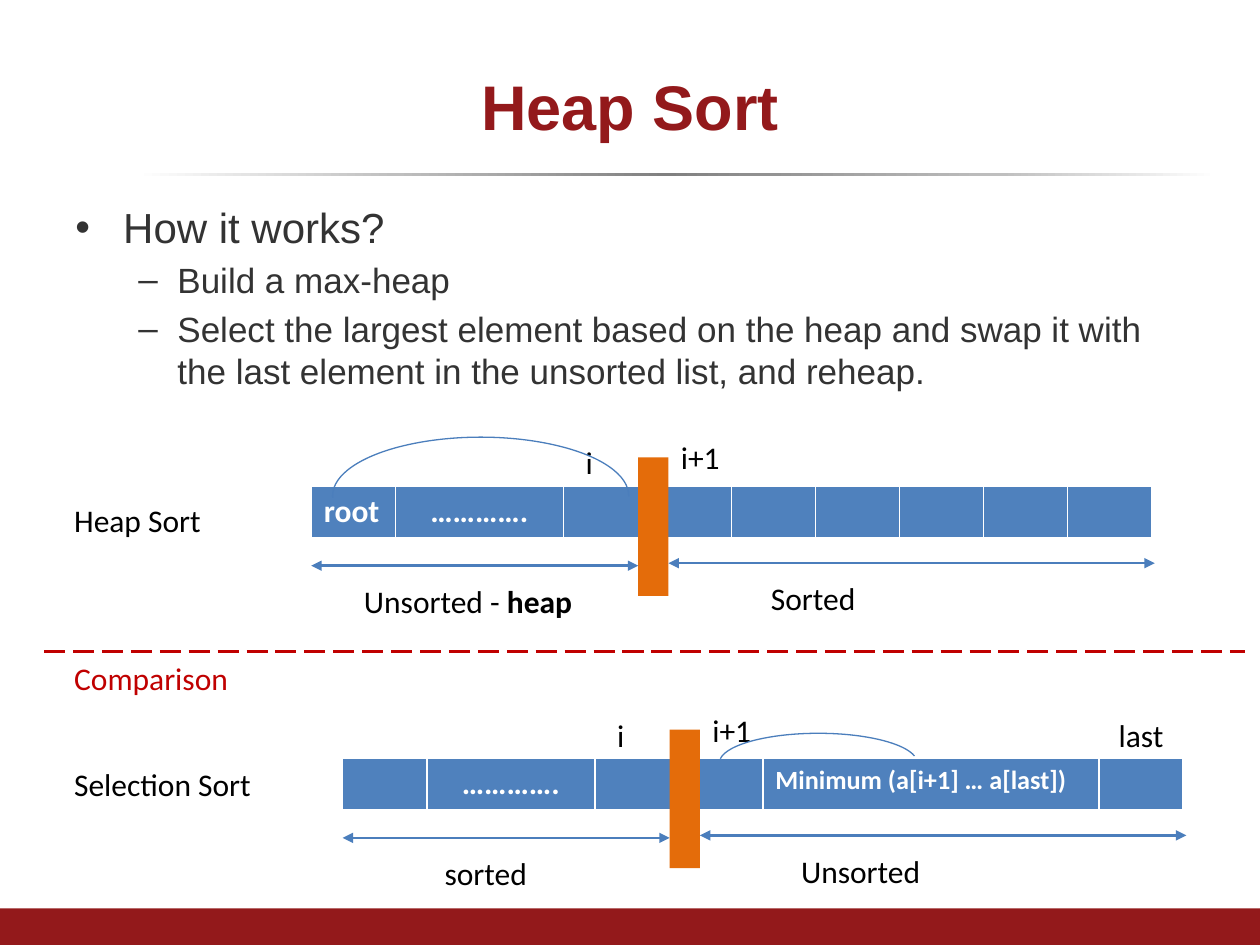
from lxml import etree
from pptx import Presentation
from pptx.dml.color import RGBColor
from pptx.enum.dml import MSO_LINE
from pptx.enum.shapes import MSO_CONNECTOR, MSO_SHAPE
from pptx.enum.text import MSO_ANCHOR, PP_ALIGN
from pptx.oxml.ns import qn
from pptx.util import Pt

PX = 9144  # 100 px to the inch
RECTANGLE, ARC = MSO_SHAPE.RECTANGLE, MSO_SHAPE.ARC
STRAIGHT, LONG_DASH = MSO_CONNECTOR.STRAIGHT, MSO_LINE.LONG_DASH
CENTER, LEFT, MIDDLE = PP_ALIGN.CENTER, PP_ALIGN.LEFT, MSO_ANCHOR.MIDDLE

CRIMSON, RED, ORANGE = "93191B", "C00000", "E46C0A"
BLUE, LINE_BLUE = "4F81BD", "4B7EBC"
BLACK, WHITE, DARK = "000000", "FFFFFF", "333333"
CELL = 66.7
SEPARATOR_WIDTH, SEPARATOR_HEIGHT = 24, 110
LABEL_HEIGHT = 40


def px(*lengths):
    return [round(length * PX) for length in lengths]


def color(hex_string):
    return RGBColor.from_string(hex_string)


def add_run(paragraph, text, hex_string=BLACK, **formats):
    run = paragraph.add_run()
    run.text = text
    for name, value in {"name": "Calibri", "size": Pt(18), **formats}.items():
        setattr(run.font, name, value)
    run.font.color.rgb = color(hex_string)


def add_label(slide, box, text, hex_string=BLACK, bold_text="", wrap=True):
    frame = slide.shapes.add_textbox(*px(*box)).text_frame
    frame.word_wrap = wrap
    add_run(frame.paragraphs[0], text, hex_string)
    if bold_text:
        add_run(frame.paragraphs[0], bold_text, hex_string, bold=True)


def add_block(slide, box, hex_string):
    block = slide.shapes.add_shape(RECTANGLE, *px(*box))
    block.shadow.inherit = False
    block.fill.solid()
    block.fill.fore_color.rgb = color(hex_string)
    block.line.fill.background()
    return block


def add_arc(slide, box, start, end):
    arc = slide.shapes.add_shape(ARC, *px(*box))
    arc.shadow.inherit = False
    arc.adjustments[0], arc.adjustments[1] = start, end
    arc.fill.background()
    arc.line.color.rgb = color(LINE_BLUE)
    arc.line.width = Pt(0.75)


def add_line(slide, left, right, y, hex_string):
    connector = slide.shapes.add_connector(STRAIGHT, *px(left, y, right, y))
    connector.line.color.rgb = color(hex_string)
    connector.line.width = Pt(1.5)
    etree.SubElement(connector._element.spPr, qn("a:effectLst"))
    return connector


def add_double_arrow(slide, left, right, y):
    line = add_line(slide, left, right, y, LINE_BLUE).get_or_add_ln()
    for end in ("a:headEnd", "a:tailEnd"):
        etree.SubElement(line, qn(end), type="triangle")


def add_title_rule(slide, box):
    rule = add_block(slide, box, WHITE)
    rule.fill.gradient()
    rule.fill.gradient_angle = 0
    stops = rule._element.spPr.find(qn("a:gradFill")).find(qn("a:gsLst"))
    for stop in list(stops):
        stops.remove(stop)
    for percent, hex_string in ((0, WHITE), (24, "BFBFBF"), (49, "808080"),
                                (80, "BFBFBF"), (100, WHITE)):
        stop = etree.SubElement(stops, qn("a:gs"), pos=str(percent * 1000))
        etree.SubElement(stop, qn("a:srgbClr"), val=hex_string)


def add_title(slide, box, text):
    title = slide.shapes.title
    title.left, title.top, title.width, title.height = px(*box)
    title.text_frame.vertical_anchor = MIDDLE
    paragraph = title.text_frame.paragraphs[0]
    paragraph.alignment = CENTER
    add_run(paragraph, text, CRIMSON, name="Arial", size=Pt(36), bold=True)


def add_bullets(slide, box, items):
    # Level: bullet, text size, left margin, hanging indent
    levels = (("•", 24, 38, 38), ("–", 20, 81, 31))
    frame = slide.shapes.add_textbox(*px(*box)).text_frame
    frame.word_wrap = True
    for index, (level, text) in enumerate(items):
        bullet, size, margin, hanging = levels[level]
        paragraph = frame.add_paragraph() if index else frame.paragraphs[0]
        paragraph.level = level
        paragraph.space_before = Pt(size * 0.2)
        add_run(paragraph, text, DARK, name="Arial", size=Pt(size))
        properties = paragraph._p.get_or_add_pPr()
        properties.set("marL", str(margin * PX))
        properties.set("indent", str(-hanging * PX))
        etree.SubElement(properties, qn("a:buFont"), typeface="Arial")
        etree.SubElement(properties, qn("a:buChar"), char=bullet)


def add_array(slide, left, top, cells):
    """Cells are (width in units, text, size, alignment)."""
    width = CELL * sum(cell[0] for cell in cells)
    frame = slide.shapes.add_table(1, len(cells), *px(left, top, width, 41))
    for index, (units, text, size, alignment) in enumerate(cells):
        frame.table.columns[index].width = px(units * CELL)[0]
        cell = frame.table.cell(0, index)
        cell.fill.solid()
        cell.fill.fore_color.rgb = color(BLUE)
        if text:
            paragraph = cell.text_frame.paragraphs[0]
            paragraph.alignment = alignment
            add_run(paragraph, text, WHITE, size=Pt(size), bold=True)


def add_sort_diagram(slide, left, top, cells, left_label, right_label):
    """Labels are (offset from left, width, text, bold text)."""
    add_array(slide, left, top, cells)

    # Separator between the two parts of the list
    split = left + 259.5
    right_start = split + SEPARATOR_WIDTH
    add_block(slide, (split, top - 23, SEPARATOR_WIDTH, SEPARATOR_HEIGHT), ORANGE)

    # Extent arrows with their captions
    for start, end, drop, label in (
            (left, split, 63, left_label),
            (right_start, right_start + 386, 61, right_label)):
        offset, width, text, bold_text = label
        add_double_arrow(slide, start, end, top + drop)
        add_label(slide, (left + offset, top + drop + 8, width, LABEL_HEIGHT),
                  text, bold_text=bold_text)

    # Index labels
    add_label(slide, (right_start, top - 43, 51, LABEL_HEIGHT), "i+1", wrap=False)
    add_label(slide, (left + 208, top - 39, 26, LABEL_HEIGHT), "i", wrap=False)


def main():
    presentation = Presentation()
    presentation.slide_width, presentation.slide_height = px(1000, 750)
    slide = presentation.slides.add_slide(presentation.slide_layouts[5])

    # Frame and heading
    add_title_rule(slide, (108, 137, 858, 3))
    add_block(slide, (0, 721, 1000, 29), CRIMSON)
    add_title(slide, (50, 30, 900, 107), "Heap Sort")
    add_bullets(slide, (50, 155, 900, 180), [
        (0, "How it works?"),
        (1, "Build a max-heap"),
        (1, "Select the largest element based on the heap and swap it with "
            "the last element in the unsorted list, and reheap."),
    ])

    # Heap sort
    blank = (1, "", 18, LEFT)
    dots = (2, "………….", 18, CENTER)
    add_sort_diagram(slide, 247, 386, [(1, "root", 18, LEFT), dots] + [blank] * 7,
                     (32, 228, "Unsorted - ", "heap"), (355, 252, "Sorted", ""))
    add_arc(slide, (264, 347, 235, 93), 107.52, 0.16)

    # Selection sort
    minimum = (4, "Minimum (a[i+1] … a[last])", 15, LEFT)
    add_sort_diagram(slide, 272, 602, [blank, dots, blank, blank, minimum, blank],
                     (71, 110, "sorted", ""), (354, 173, "Unsorted", ""))
    add_arc(slide, (571, 582, 157, 47), 109.46, 213.55)
    add_label(slide, (878, 563, 56, LABEL_HEIGHT), "last", wrap=False)

    # Divider and row names
    add_line(slide, 35, 988, 517, RED).line.dash_style = LONG_DASH
    for top, text, hex_string in ((602, "Selection Sort", BLACK),
                                  (518, "Comparison", RED),
                                  (393, "Heap Sort", BLACK)):
        add_label(slide, (49, top, 185, LABEL_HEIGHT), text, hex_string)

    presentation.save("out.pptx")


if __name__ == "__main__":
    main()
